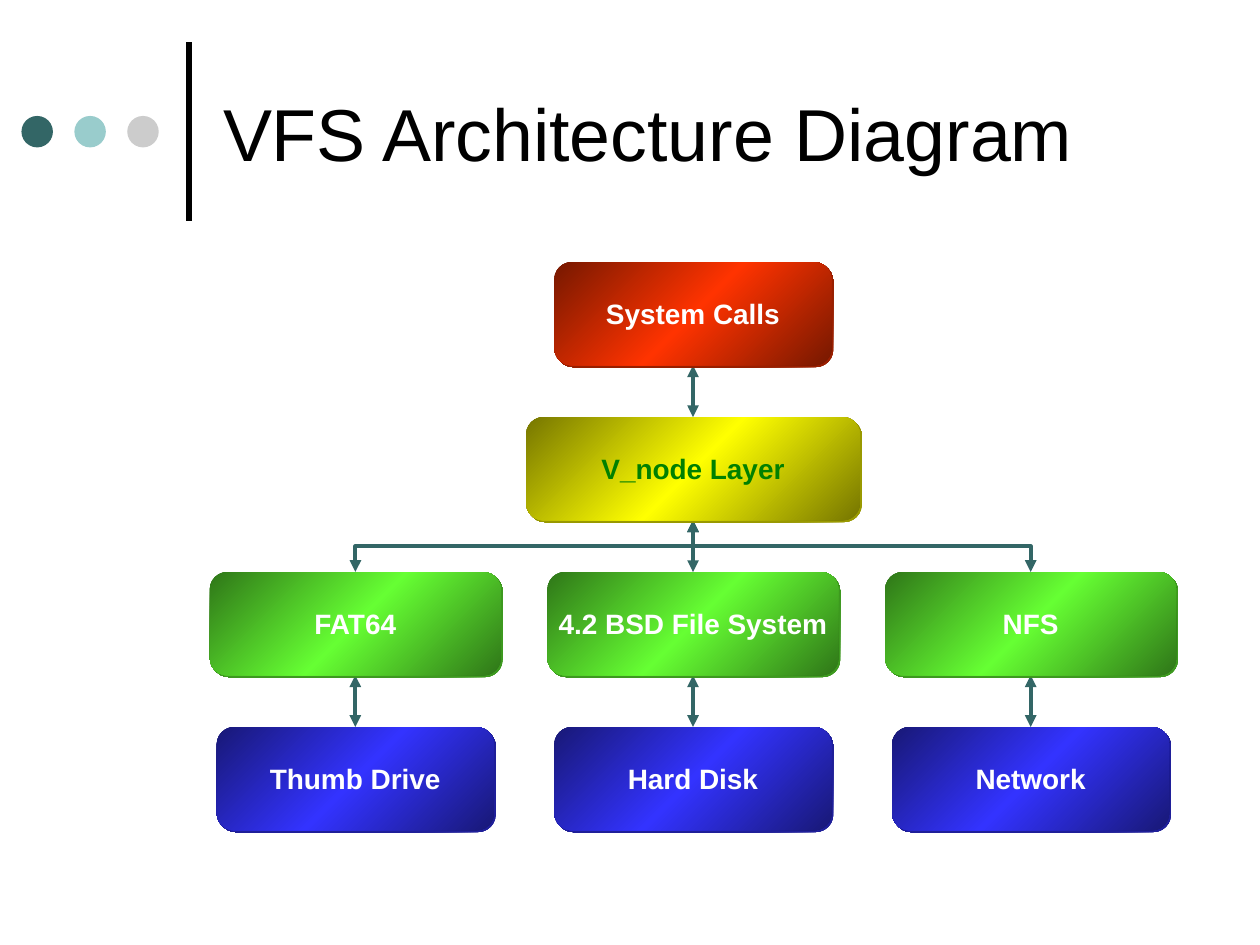
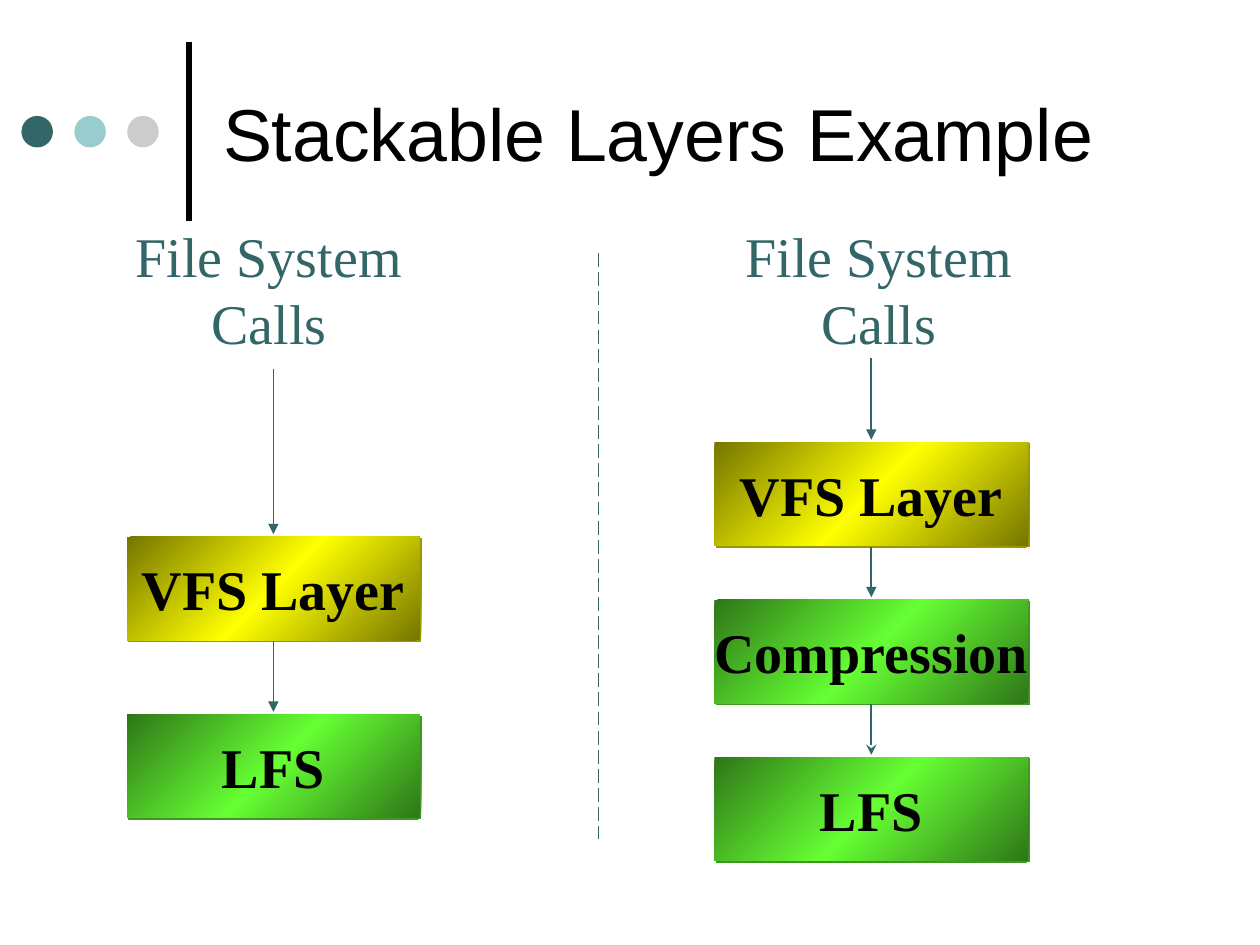
from copy import deepcopy

from pptx import Presentation
from pptx.dml.color import RGBColor
from pptx.enum.dml import MSO_LINE
from pptx.enum.shapes import MSO_CONNECTOR, MSO_SHAPE
from pptx.enum.text import MSO_ANCHOR, MSO_AUTO_SIZE, PP_ALIGN
from pptx.oxml.ns import qn
from pptx.oxml.xmlchemy import OxmlElement
from pptx.util import Emu, Pt

STRAIGHT, ELBOW = MSO_CONNECTOR.STRAIGHT, MSO_CONNECTOR.ELBOW
ROUNDED, RECTANGLE, OVAL = MSO_SHAPE.ROUNDED_RECTANGLE, MSO_SHAPE.RECTANGLE, MSO_SHAPE.OVAL
LEFT, CENTER = PP_ALIGN.LEFT, PP_ALIGN.CENTER
MIDDLE, TOP = MSO_ANCHOR.MIDDLE, MSO_ANCHOR.TOP
NO_AUTOFIT = MSO_AUTO_SIZE.NONE
LONG_DASH = MSO_LINE.LONG_DASH

EMU_PER_PX = 9144
SANS, SERIF = "Arial", "Times New Roman"
TEAL, AQUA, SILVER = "336666", "99CCCC", "CCCCCC"
BLACK, WHITE, LEAF = "000000", "FFFFFF", "008000"
RED = ("761800", "FF3300", "991F00")
YELLOW = ("767600", "FFFF00", "999900")
GREEN = ("2F7618", "66FF33", "3D991F")
BLUE = ("181876", "3333FF", "1F1F99")
BOX_HEIGHT = 82


def px(*lengths):
    """Turn px lengths into a list of EMU."""
    return [Emu(round(length * EMU_PER_PX)) for length in lengths]


def rgb(hex_color):
    """Turn a hex string into a colour."""
    return RGBColor.from_string(hex_color)


def child(parent, tag, **attributes):
    """Append an XML element with the given attributes."""
    element = OxmlElement(tag)
    for key, value in attributes.items():
        element.set(key, str(value))
    parent.append(element)
    return element


def write(shape, text, size=16, font=SANS, color=WHITE, bold=False,
          align=CENTER, anchor=MIDDLE, wrap=False, insets=(9, 4)):
    """Fill a shape with text, one paragraph per line."""
    frame = shape.text_frame
    frame.text = text
    frame.auto_size = NO_AUTOFIT
    frame.word_wrap = wrap
    frame.vertical_anchor = anchor
    side, edge = px(*insets)
    frame.margin_left = frame.margin_right = side
    frame.margin_top = frame.margin_bottom = edge
    for paragraph in frame.paragraphs:
        paragraph.alignment = align
        paragraph.font.size = Pt(size)
        paragraph.font.name = font
        paragraph.font.bold = bold
        paragraph.font.color.rgb = rgb(color)


def line(slide, start, end, color=TEAL, width=1, head=None, tail=None, kind=STRAIGHT):
    """Draw a line with optional arrowheads."""
    connector = slide.shapes.add_connector(kind, *px(*start, *end))
    connector.line.color.rgb = rgb(color)
    connector.line.width = Pt(width)
    outline = connector.line._get_or_add_ln()
    if head:
        child(outline, "a:headEnd", type=head)
    if tail:
        child(outline, "a:tailEnd", type=tail)
    child(connector._element.spPr, "a:effectLst")
    return connector


def branch(slide, start, end, **style):
    """Draw an elbow that leaves and arrives vertically."""
    center_x, center_y = (start[0] + end[0]) / 2, (start[1] + end[1]) / 2
    turn = 1 if start[0] < end[0] else -1
    across = turn * (start[1] - end[1]) / 2
    down = turn * (end[0] - start[0]) / 2
    elbow = line(slide, (center_x + across, center_y + down),
                 (center_x - across, center_y - down), kind=ELBOW, **style)
    frame = elbow._element.spPr.find(qn("a:xfrm"))
    frame.set("rot", str((90 if turn == 1 else 270) * 60000))


def layer_box(slide, box, palette, text, outline=RECTANGLE, **text_format):
    """Draw a labelled box with a diagonal sheen and a thin hard shadow."""
    edge, sheen, shade = palette
    layer = slide.shapes.add_shape(outline, *px(*box))
    layer.line.fill.background()
    layer.fill.gradient()
    layer.fill.gradient_angle = 315
    stop_list = layer._element.spPr.find(qn("a:gradFill")).find(qn("a:gsLst"))
    stop_list.append(deepcopy(stop_list[0]))
    for stop, position, color in zip(layer.fill.gradient_stops, (0, 0.5, 1), (edge, sheen, edge)):
        stop.position = position
        stop.color.rgb = rgb(color)
    layer.shadow.inherit = False
    effects = layer._element.spPr.find(qn("a:effectLst"))
    shadow = child(effects, "a:outerShdw", blurRad=0, dist=17780, dir=2700000,
                   algn="ctr", rotWithShape=0)
    child(shadow, "a:srgbClr", val=shade)
    write(layer, text, bold=True, **text_format)


def titled_slide(deck, title):
    """Add a slide with the three dots, the upright rule and the title."""
    slide = deck.slides.add_slide(deck.slide_layouts[5])
    line(slide, (150, 175), (150, 33), color=BLACK, width=3)
    for index, color in enumerate((TEAL, AQUA, SILVER)):
        dot = slide.shapes.add_shape(OVAL, *px(17 + 42 * index, 92, 25, 25))
        dot.fill.solid()
        dot.fill.fore_color.rgb = rgb(color)
        dot.line.fill.background()
        dot.shadow.inherit = False
    heading = slide.shapes.title
    heading.left, heading.top, heading.width, heading.height = px(167, 21, 767, 167)
    write(heading, title, size=42, color=BLACK, align=LEFT, wrap=True, insets=(10, 5))
    return slide


def architecture(slide, center, top, column_step=268, row_step=123):
    """Draw the tree from system calls down to the devices."""
    columns = [center + column_step * offset for offset in (-1, 0, 1)]
    rows = [top + row_step * index for index in range(4)]
    arrows = {"width": 2.25, "head": "triangle", "tail": "triangle"}
    for column in columns:
        line(slide, (column, rows[3]), (column, rows[2] + BOX_HEIGHT), **arrows)
    for column in (columns[0], columns[2]):
        branch(slide, (column, rows[2]), (center, rows[1] + BOX_HEIGHT), **arrows)
    for row in (1, 2):
        line(slide, (center, rows[row]), (center, rows[row - 1] + BOX_HEIGHT), **arrows)
    levels = (
        (220, RED, WHITE, ("System Calls",)),
        (265, YELLOW, LEAF, ("V_node Layer",)),
        (231, GREEN, WHITE, ("FAT64", "4.2 BSD File System", "NFS")),
        (220, BLUE, WHITE, ("Thumb Drive", "Hard Disk", "Network")),
    )
    for row, (width, palette, color, names) in zip(rows, levels):
        for column, name in zip(columns if len(names) == 3 else [center], names):
            layer_box(slide, (column - width / 2, row, width, BOX_HEIGHT),
                      palette, name, outline=ROUNDED, color=color)


def layer_stack(slide, left, top, width, step, layers, calls_left, arrow_top, last_tip):
    """Draw the calls label and the layers it passes through."""
    calls = slide.shapes.add_textbox(*px(calls_left, 171, 231, 116))
    write(calls, "File System\nCalls", size=32, font=SERIF, color=TEAL,
          anchor=TOP, insets=(10, 5))
    center = left + width / 2
    for index, (name, palette) in enumerate(layers):
        layer_top = top + step * index
        tip = last_tip if index == len(layers) - 1 else "triangle"
        line(slide, (center, arrow_top), (center, layer_top - 2), tail=tip)
        layer_box(slide, (left, layer_top, width, BOX_HEIGHT), palette, name,
                  size=32, font=SERIF, color=BLACK)
        arrow_top = layer_top + BOX_HEIGHT + 1


def main():
    """Build both slides and save the deck."""
    deck = Presentation()
    deck.slide_width, deck.slide_height = px(1000, 750)

    architecture(titled_slide(deck, "VFS Architecture Diagram"), center=550, top=208)

    stacks = titled_slide(deck, "Stackable Layers Example")
    vfs, lfs = ("VFS Layer", YELLOW), ("LFS", GREEN)
    layer_stack(stacks, 101, 426, 232, 141, (vfs, lfs),
                calls_left=98, arrow_top=293, last_tip="triangle")
    divider = line(stacks, (475, 201), (475, 666))
    divider.line.dash_style = LONG_DASH
    layer_stack(stacks, 567, 351, 249, 125, (vfs, ("Compression", GREEN), lfs),
                calls_left=582, arrow_top=284, last_tip="stealth")

    deck.save("out.pptx")


if __name__ == "__main__":
    main()
